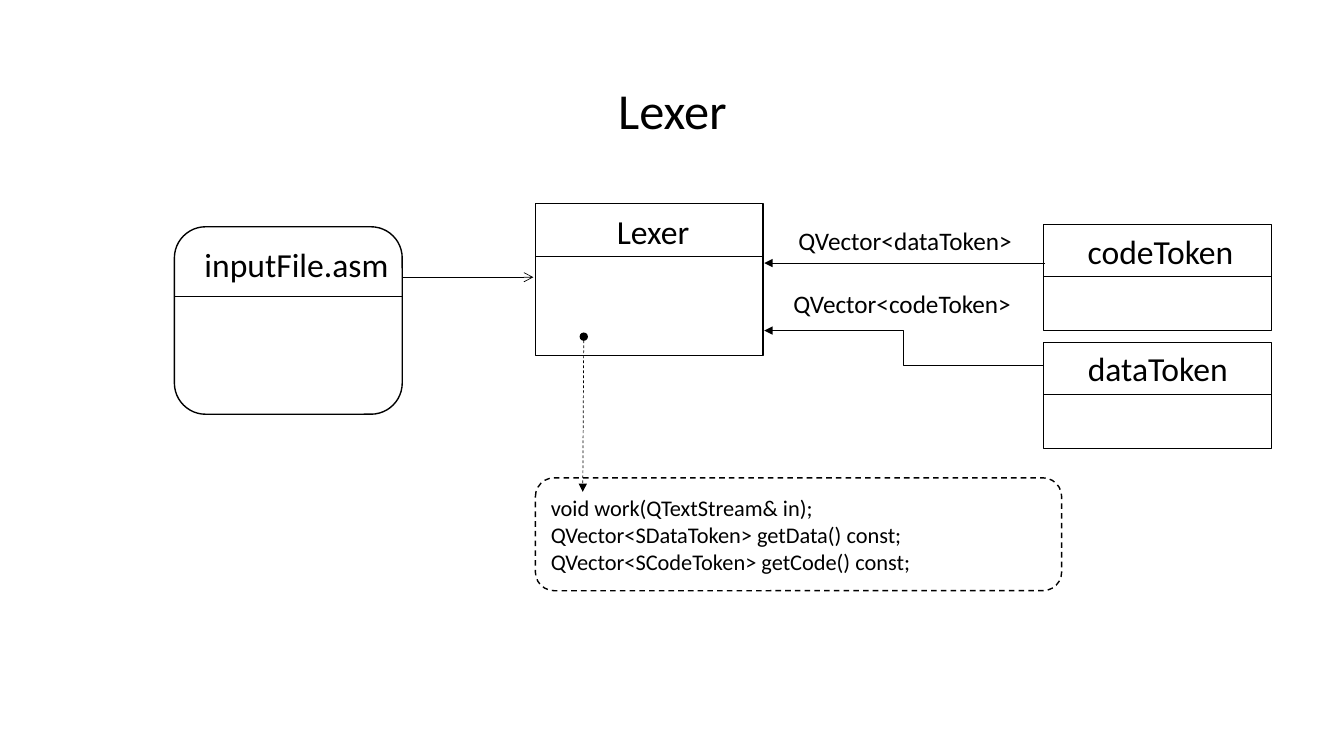
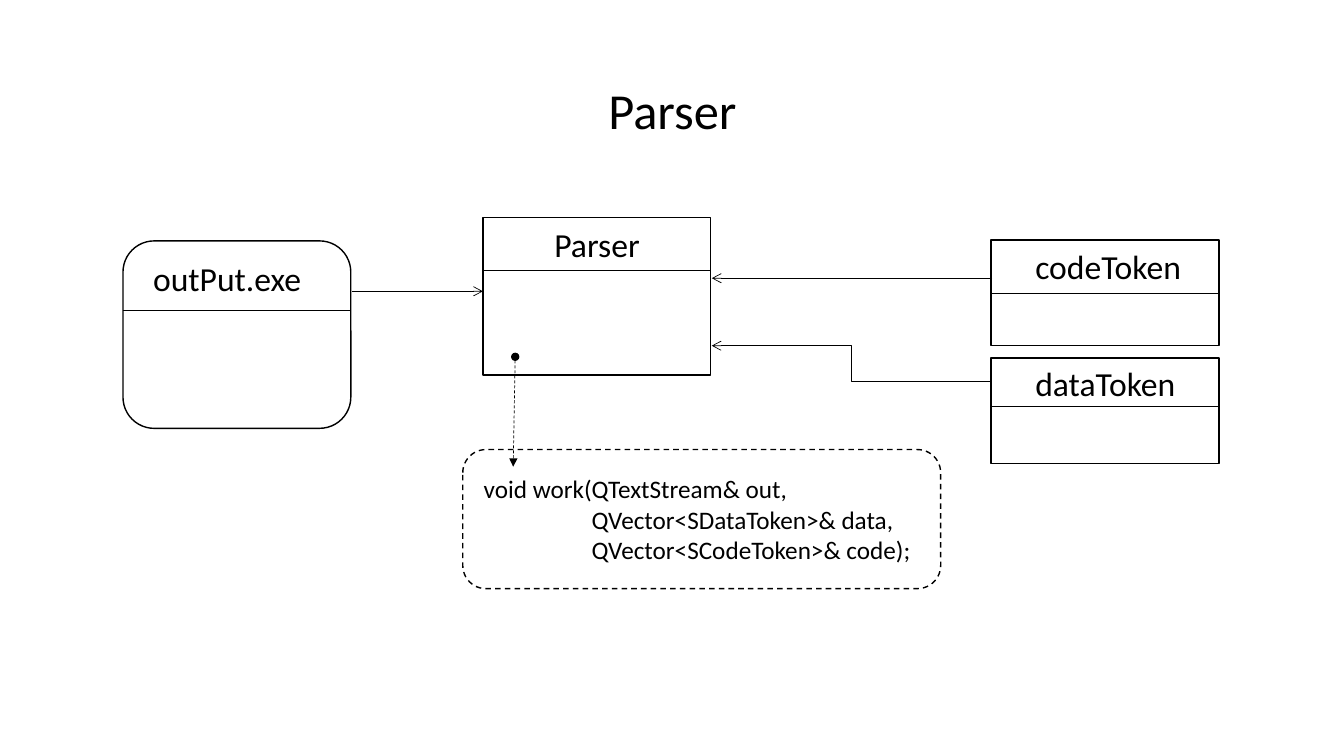
from dataclasses import dataclass
from lxml.etree import SubElement as Sub
from pptx import Presentation
from pptx.dml.color import RGBColor as Rgb
from pptx.enum.dml import MSO_LINE as Dash
from pptx.enum.shapes import MSO_CONNECTOR as Link, MSO_SHAPE as Kind
from pptx.enum.text import MSO_ANCHOR as Anchor, PP_ALIGN as Align
from pptx.oxml.ns import qn
from pptx.util import Inches, Pt


@dataclass(frozen=True)
class Theme:
    font: str = "Calibri"
    ink: Rgb = Rgb(0, 0, 0)
    paper: Rgb = Rgb(255, 255, 255)
    title: int = 36
    name: int = 24
    label: int = 18
    edge: float = 1
    thin: float = 0.5


look = Theme()
TITLE = (0.92, 0.4, 11.5, 1.45)
NAME_H, LABEL_H = 0.5, 0.4
WIDE = 2.26
RECT, ROUND = Kind.RECTANGLE, Kind.ROUNDED_RECTANGLE

# kept as plain data: kind, left, top, height, rule drop, name, name inset, name drop, name width
SLIDES = [
    {
        "title": "Lexer",
        "boxes": [
            (RECT, 5.31, 2.02, 1.51, 0.52, "Lexer", 0.71, 0.02, 0.93),
            (RECT, 10.35, 2.23, 1.05, 0.51, "codeToken", 0.34, 0.01, 1.66),
            (RECT, 10.35, 3.4, 1.05, 0.51, "dataToken", 0.34, 0, 1.61),
            (ROUND, 1.73, 2.25, 1.86, 0.69, "inputFile.asm", 0.2, 0.12, 2.06),
        ],
        "links": [
            (Link.STRAIGHT, (10.36, 2.61), (7.58, 2.61), "triangle"),
            (Link.ELBOW, (10.35, 3.63), (7.58, 3.28), "triangle"),
            (Link.STRAIGHT, (4, 2.75), (5.29, 2.75), "arrow"),
        ],
        "labels": [
            ("QVector<dataToken>", 7.82, 2.19, 2.34),
            ("QVector<codeToken>", 7.77, 2.81, 2.38),
        ],
        "note": {
            "at": (5.31, 4.74, 5.22, 1.12),
            "size": 16,
            "inset": 0.1,
            "lines": [
                ("void work(QTextStream& in);", 0),
                ("QVector<SDataToken> getData() const;", 0),
                ("QVector<SCodeToken> getCode() const;", 0),
            ],
            "lead": ((5.79, 3.34), (5.78, 4.88)),
        },
    },
    {
        "title": "Parser",
        "boxes": [
            (RECT, 4.79, 2.16, 1.56, 0.52, "Parser", 0.61, 0.01, 1.06),
            (RECT, 9.83, 2.38, 1.05, 0.53, "codeToken", 0.34, 0.01, 1.66),
            (RECT, 9.83, 3.55, 1.05, 0.48, "dataToken", 0.34, 0, 1.61),
            (ROUND, 1.22, 2.39, 1.86, 0.69, "outPut.exe", 0.2, 0.12, 2.06),
        ],
        "links": [
            (Link.STRAIGHT, (9.84, 2.76), (7.06, 2.76), "arrow"),
            (Link.ELBOW, (9.83, 3.78), (7.06, 3.43), "arrow"),
            (Link.STRAIGHT, (3.49, 2.89), (4.79, 2.89), "arrow"),
        ],
        "labels": [],
        "note": {
            "at": (4.59, 4.46, 4.74, 1.38),
            "size": 18,
            "inset": 0.14,
            "lines": [
                ("void work(QTextStream& out,", 0),
                ("QVector<SDataToken>& data,", 1.07),
                ("QVector<SCodeToken>& code);", 1.07),
            ],
            "lead": ((5.11, 3.54), (5.09, 4.63)),
        },
    },
]


def inch(nums):
    return [Inches(n) for n in nums]


def style(para, size):
    for run in para.runs:
        run.font.name = look.font
        run.font.size = Pt(size)
        run.font.color.rgb = look.ink


def stroke(line, width, dash=None):
    line.color.rgb = look.ink
    line.width = Pt(width)
    if dash:
        line.dash_style = dash


def text(slide, words, at, size, wrap=False):
    frame = slide.shapes.add_textbox(*inch(at)).text_frame
    frame.word_wrap = wrap
    frame.text = words
    style(frame.paragraphs[0], size)
    return frame


def panel(slide, kind, at, dash=None):
    shape = slide.shapes.add_shape(kind, *inch(at))
    shape.shadow.inherit = False
    shape.fill.solid()
    shape.fill.fore_color.rgb = look.paper
    stroke(shape.line, look.edge, dash)
    return shape


def link(slide, kind, start, end, tail=None, head=None, dash=None):
    wire = slide.shapes.add_connector(kind, *inch(start + end))
    stroke(wire.line, look.thin, dash)
    props = wire._element.spPr
    Sub(props, qn("a:effectLst"))
    for tag, tip in (("a:headEnd", head), ("a:tailEnd", tail)):
        if tip:
            Sub(props.find(qn("a:ln")), qn(tag), type=tip)


def box(slide, kind, left, top, high, drop, name, dx, dy, wide):
    panel(slide, kind, (left, top, WIDE, high))
    link(slide, Link.STRAIGHT, (left, top + drop), (left + WIDE, top + drop))
    text(slide, name, (left + dx, top + dy, wide, NAME_H), look.name, kind == ROUND)


def note(slide, data):
    frame = panel(slide, ROUND, data["at"], Dash.DASH).text_frame
    frame.word_wrap = True
    frame.vertical_anchor = Anchor.MIDDLE
    frame.margin_left = Inches(data["inset"])
    frame.text = "\n".join(words for words, _ in data["lines"])
    for para, (_, dent) in zip(frame.paragraphs, data["lines"]):
        para.alignment = Align.LEFT
        if dent:
            para._p.get_or_add_pPr().set("marL", str(Inches(dent)))
        style(para, data["size"])
    link(slide, Link.STRAIGHT, *data["lead"], "triangle", "oval", Dash.DASH)


def head(slide, words):
    frame = text(slide, words, TITLE, look.title, True)
    frame.vertical_anchor = Anchor.MIDDLE
    frame.paragraphs[0].alignment = Align.CENTER
    frame.paragraphs[0].line_spacing = 0.9


deck = Presentation()
deck.slide_width, deck.slide_height = inch((13.33, 7.5))
for data in SLIDES:
    slide = deck.slides.add_slide(deck.slide_layouts[6])
    head(slide, data["title"])
    for row in data["boxes"]:
        box(slide, *row)
    for row in data["links"]:
        link(slide, *row)
    for words, left, top, wide in data["labels"]:
        text(slide, words, (left, top, wide, LABEL_H), look.label)
    note(slide, data["note"])
deck.save("out.pptx")
